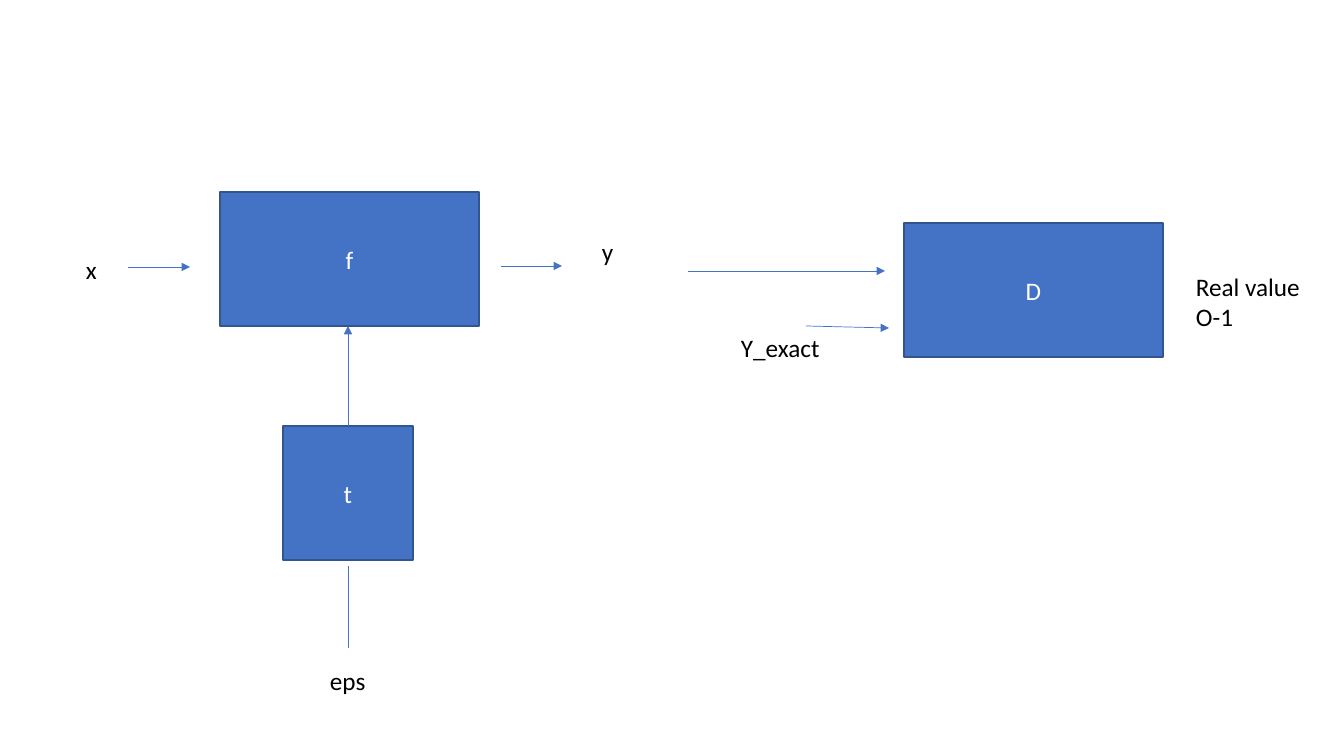
from dataclasses import dataclass

from lxml.etree import SubElement
from pptx import Presentation
from pptx.dml.color import RGBColor
from pptx.enum.shapes import MSO_CONNECTOR, MSO_SHAPE
from pptx.enum.text import MSO_ANCHOR, MSO_AUTO_SIZE, PP_ALIGN
from pptx.oxml.ns import qn
from pptx.util import Emu, Pt


@dataclass(frozen=True)
class Theme:
    fill: RGBColor = RGBColor(0x44, 0x72, 0xC4)
    outline: RGBColor = RGBColor(0x32, 0x54, 0x91)
    on_fill: RGBColor = RGBColor(0xFF, 0xFF, 0xFF)
    ink: RGBColor = RGBColor(0, 0, 0)
    font: str = "Calibri"
    text_size: float = 18
    outline_width: float = 1
    arrow_width: float = 0.5


THEME = Theme()
SLIDE_WIDTH, SLIDE_HEIGHT = 1344, 756
EMU_PER_PIXEL = 12192000 / SLIDE_WIDTH
BLOCK_WIDTH, BLOCK_HEIGHT = 259, 134
LINE_HEIGHT = 40


def pixels(*lengths):
    return [Emu(round(length * EMU_PER_PIXEL)) for length in lengths]


def write_text(frame, text, color=THEME.ink, size=THEME.text_size, align=PP_ALIGN.LEFT):
    for index, line in enumerate(text.split("\n")):
        paragraph = frame.add_paragraph() if index else frame.paragraphs[0]
        paragraph.alignment = align
        run = paragraph.add_run()
        run.text = line
        run.font.name = THEME.font
        run.font.size = Pt(size)
        run.font.color.rgb = color


def add_label(slide, origin, text, left, top, width, height=LINE_HEIGHT):
    label = slide.shapes.add_textbox(*pixels(origin[0] + left, origin[1] + top, width, height))
    label.text_frame.word_wrap = False
    label.text_frame.auto_size = MSO_AUTO_SIZE.SHAPE_TO_FIT_TEXT
    write_text(label.text_frame, text)


def add_block(slide, origin, text, left, top, width=BLOCK_WIDTH):
    box = pixels(origin[0] + left, origin[1] + top, width, BLOCK_HEIGHT)
    block = slide.shapes.add_shape(MSO_SHAPE.RECTANGLE, *box)
    block.shadow.inherit = False
    block.fill.solid()
    block.fill.fore_color.rgb = THEME.fill
    block.line.color.rgb = THEME.outline
    block.line.width = Pt(THEME.outline_width)
    block.text_frame.vertical_anchor = MSO_ANCHOR.MIDDLE
    write_text(block.text_frame, text, color=THEME.on_fill, align=PP_ALIGN.CENTER)


def add_line(slide, origin, start, end, arrow=True):
    points = [base + offset for point in (start, end) for base, offset in zip(origin, point)]
    connector = slide.shapes.add_connector(MSO_CONNECTOR.STRAIGHT, *pixels(*points))
    connector.line.color.rgb = THEME.fill
    connector.line.width = Pt(THEME.arrow_width)
    properties = connector.element.spPr
    if arrow:
        SubElement(properties.find(qn("a:ln")), qn("a:tailEnd"), type="triangle")
    SubElement(properties, qn("a:effectLst"))


def add_generator(slide, left, top):
    origin = (left, top)
    center, noise_top = 272, 234
    add_block(slide, origin, "f", 144, 0)
    add_line(slide, origin, (52, 75), (114, 75))
    add_label(slide, origin, "x", 0, 57, 31)
    add_line(slide, origin, (425, 74), (486, 74))
    add_label(slide, origin, "y", 516, 39, 32)
    add_block(slide, origin, "t", center - 65, noise_top, width=130)
    add_line(slide, origin, (center, 456), (center, 374), arrow=False)
    add_label(slide, origin, "eps", center - 28, 468, 56)
    add_line(slide, origin, (center, noise_top), (center, BLOCK_HEIGHT))


def add_discriminator(slide, left, top):
    origin = (left, top)
    add_label(slide, origin, "Y_exact", 43, 104, 100)
    add_block(slide, origin, "D", 216, 0)
    add_line(slide, origin, (0, 48), (197, 48))
    add_line(slide, origin, (118, 103), (201, 105))
    add_label(slide, origin, "Real value\nO-1", 498, 43, 126, height=72)


presentation = Presentation()
presentation.slide_width, presentation.slide_height = pixels(SLIDE_WIDTH, SLIDE_HEIGHT)
slide = presentation.slides.add_slide(presentation.slide_layouts[6])
add_generator(slide, 76, 192)
add_discriminator(slide, 688, 223)
presentation.save("out.pptx")
